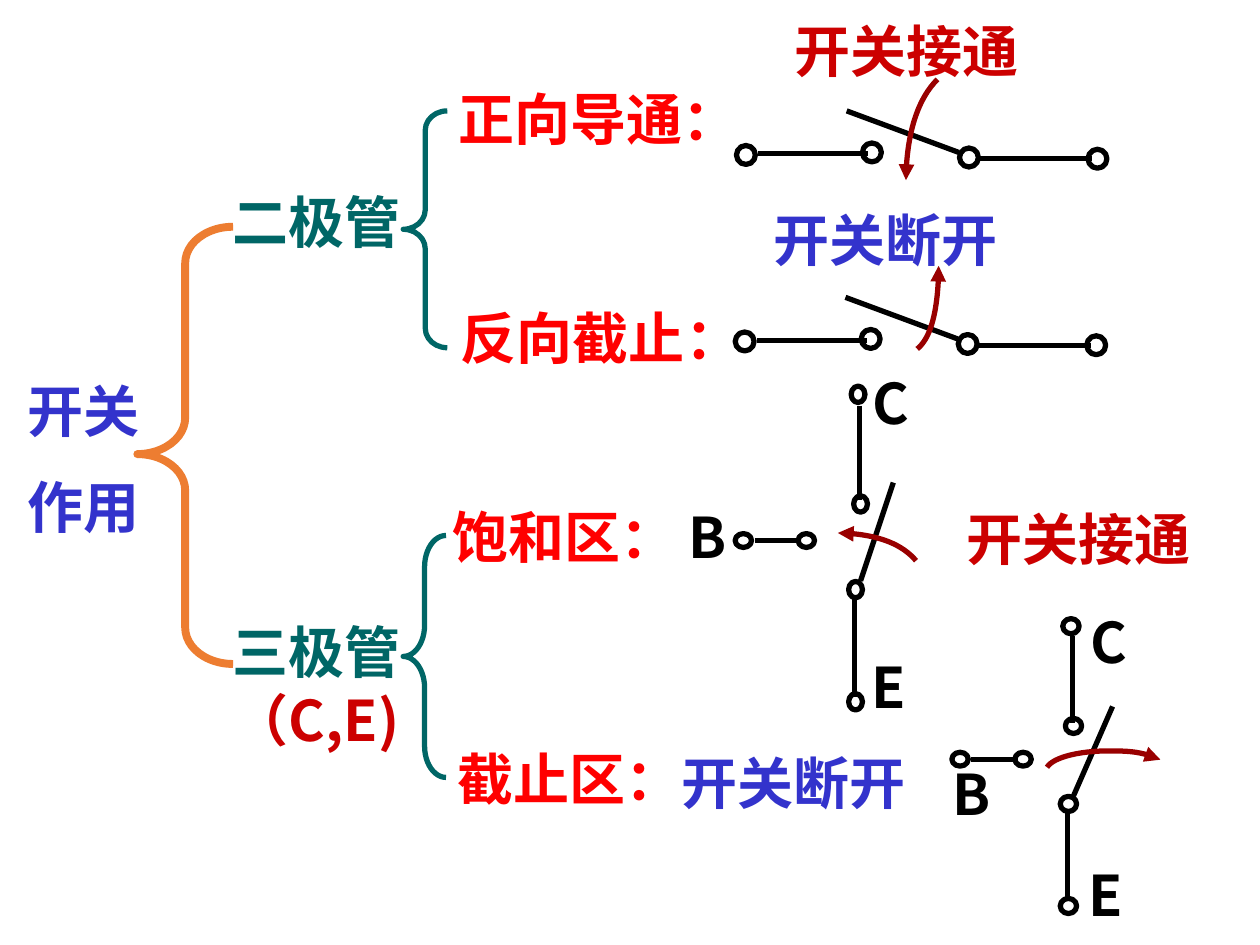
import pptx
import pptx.util
from pptx.dml.color import RGBColor
from pptx.enum.shapes import MSO_CONNECTOR, MSO_SHAPE
from pptx.oxml.ns import qn
from pptx.oxml.xmlchemy import OxmlElement
from pptx.util import Inches

BLACK = RGBColor(0x00, 0x00, 0x00)
BLUE = RGBColor(0x33, 0x33, 0xCC)
TEAL = RGBColor(0x00, 0x66, 0x66)
ORANGE = RGBColor(0xED, 0x7D, 0x31)
RED = RGBColor(0xFF, 0x00, 0x00)
CRIMSON = RGBColor(0xCC, 0x00, 0x00)
DARK_RED = RGBColor(0x99, 0x00, 0x00)


class Diagram:
    font_format = {"name": "Noto Sans CJK SC", "size": pptx.util.Pt(32), "bold": True}
    frame_format = {
        "word_wrap": True,
        "margin_left": Inches(0.1),
        "margin_right": Inches(0.1),
        "margin_top": Inches(0.04),
        "margin_bottom": Inches(0.04),
    }

    def __init__(self, slide):
        self.slide = slide
        self.shapes = slide.shapes

    def begin_group(self):
        self.shapes = self.slide.shapes.add_group_shape().shapes

    def end_group(self):
        self.shapes = self.slide.shapes

    def outline(self, shape, color, width):
        shape.line.color.rgb = color
        shape.line.width = pptx.util.Pt(width)

    def text(self, left, top, width, height, *paragraphs):
        box = self.shapes.add_textbox(*map(Inches, (left, top, width, height)))
        frame = box.text_frame
        for name, value in self.frame_format.items():
            setattr(frame, name, value)
        for index, runs in enumerate(paragraphs):
            paragraph = frame.add_paragraph() if index else frame.paragraphs[0]
            paragraph.line_spacing = pptx.util.Pt(39)
            if index:
                paragraph.space_before = pptx.util.Pt(16)
            for words, color in runs:
                run = paragraph.add_run()
                run.text = words
                for name, value in self.font_format.items():
                    setattr(run.font, name, value)
                run.font.color.rgb = color

    def label(self, left, top, width, words, color):
        self.text(left, top, width, 0.63, [(words, color)])

    def preset(self, kind, left, top, width, height, color, line_width):
        shape = self.shapes.add_shape(kind, *map(Inches, (left, top, width, height)))
        shape.shadow.inherit = False
        shape.fill.background()
        self.outline(shape, color, line_width)
        return shape

    def brace(self, left, top, width, height, adjustments, color, line_width):
        shape = self.preset(MSO_SHAPE.LEFT_BRACE, left, top, width, height, color, line_width)
        for index, value in enumerate(adjustments):
            shape.adjustments[index] = value

    def terminal(self, x, y, width, height):
        self.preset(MSO_SHAPE.OVAL, x - width / 2, y - height / 2, width, height, BLACK, 3)

    def wire(self, x1, y1, x2, y2):
        connector = self.shapes.add_connector(
            MSO_CONNECTOR.STRAIGHT, *map(Inches, (x1, y1, x2, y2)))
        self.outline(connector, BLACK, 3)
        connector.element.spPr.append(OxmlElement("a:effectLst"))

    def curved_arrow(self, *points):
        start, *controls = [(Inches(x), Inches(y)) for x, y in points]
        builder = self.shapes.build_freeform(*start)
        builder.add_line_segments(controls, close=False)
        shape = builder.convert_to_shape()
        shape.shadow.inherit = False
        shape.fill.background()
        self.outline(shape, DARK_RED, 3)
        segments = list(shape.element.iter(qn("a:lnTo")))
        for index in range(0, len(segments), 3):
            curve = OxmlElement("a:cubicBezTo")
            segments[index].addprevious(curve)
            for segment in segments[index:index + 3]:
                curve.append(segment[0])
                segment.getparent().remove(segment)
        arrowhead = OxmlElement("a:tailEnd")
        arrowhead.set("type", "triangle")
        shape.element.spPr.find(qn("a:ln")).append(arrowhead)

    def diode_switch(self, x, y, arrow):
        self.begin_group()
        self.wire(x + 0.1, y - 0.01, x + 0.97, y - 0.01)
        self.wire(x + 1.84, y + 0.03, x + 2.75, y + 0.03)
        self.wire(x + 0.8, y - 0.35, x + 1.69, y - 0.02)
        for dx, dy in ((0, 0), (1, -0.02), (1.77, 0.02), (2.79, 0.03)):
            self.terminal(x + dx, y + dy, 0.15, 0.15)
        self.curved_arrow(*arrow)
        self.end_group()

    def transistor_switch(self, x, y, scale, base_x, blade_reach, terminal_size, arrow, labels):
        self.begin_group()
        for x1, y1, x2, y2 in ((0.01, 0.09, 0.01, 0.84), (-0.03, 1.6, -0.03, 2.4),
                               (blade_reach, 0.7, 0.02, 1.48)):
            self.wire(x + x1, y + y1 * scale, x + x2, y + y2 * scale)
        for dx, dy in ((0, 0), (0.02, 0.87), (-0.02, 1.55), (-0.02, 2.44)):
            self.terminal(x + dx, y + dy * scale, *terminal_size)
        base_y = y + 1.16 * scale
        self.wire(base_x + 0.09, base_y, base_x + 0.46, base_y)
        for dx in (0, 0.5):
            self.terminal(base_x + dx, base_y, 0.13, 0.11)
        self.curved_arrow(*arrow)
        for letter, (left, top) in zip("CEB", labels):
            self.label(left, top, 0.66, letter, BLACK)
        self.end_group()


def main():
    presentation = pptx.Presentation()
    presentation.slide_width = Inches(10)
    presentation.slide_height = Inches(7.5)
    diagram = Diagram(presentation.slides.add_slide(presentation.slide_layouts[6]))

    diagram.text(0.12, 2.94, 1.17, 1.43, [("开关", BLUE)], [("作用", BLUE)])
    diagram.label(1.75, 1.44, 1.75, "二极管", TEAL)
    diagram.text(1.75, 4.85, 1.75, 1.17, [("三极管", TEAL), ("（C,E)", CRIMSON)])
    diagram.brace(1.09, 1.8, 0.76, 3.47, (0.38, 0.52), ORANGE, 4.5)
    diagram.brace(3.2, 0.88, 0.35, 1.88, (0.44, 0.5), TEAL, 3)
    diagram.brace(3.2, 4.25, 0.34, 1.92, (0.73, 0.5), TEAL, 3)

    for left, top, words in ((3.54, 0.62, "正向导通："), (3.56, 2.36, "反向截止："),
                             (3.49, 3.94, "饱和区："), (3.53, 5.86, "截止区：")):
        diagram.label(left, top, 2.58, words, RED)
    for left, top, words, color in (
            (6.21, 0.08, "开关接通", CRIMSON), (6.04, 1.58, "开关断开", BLUE),
            (7.57, 3.96, "开关接通", CRIMSON), (5.31, 5.89, "开关断开", BLUE)):
        diagram.label(left, top, 2.25, words, color)

    diagram.diode_switch(
        5.92, 1.23, ((7.44, 0.63), (7.29, 0.78), (7.19, 1.09), (7.19, 1.43)))
    diagram.diode_switch(
        5.91, 2.71, ((7.28, 2.77), (7.38, 2.69), (7.45, 2.45), (7.45, 2.11)))
    diagram.transistor_switch(
        6.81, 3.13, 1, 5.9, 0.28, (0.11, 0.13),
        ((7.27, 4.45), (7.16, 4.32), (6.92, 4.23), (6.65, 4.23)),
        ((6.83, 2.88), (6.82, 5.13), (5.37, 3.94)))
    diagram.transistor_switch(
        8.5, 4.97, 0.91, 7.62, 0.33, (0.13, 0.12),
        ((8.31, 6.09), (8.36, 6.01), (8.57, 5.96), (8.8, 5.96),
         (8.97, 5.96), (9.12, 5.98), (9.21, 6.03)),
        ((8.56, 4.77), (8.54, 6.78), (7.46, 5.98)))

    presentation.save("out.pptx")


if __name__ == "__main__":
    main()
